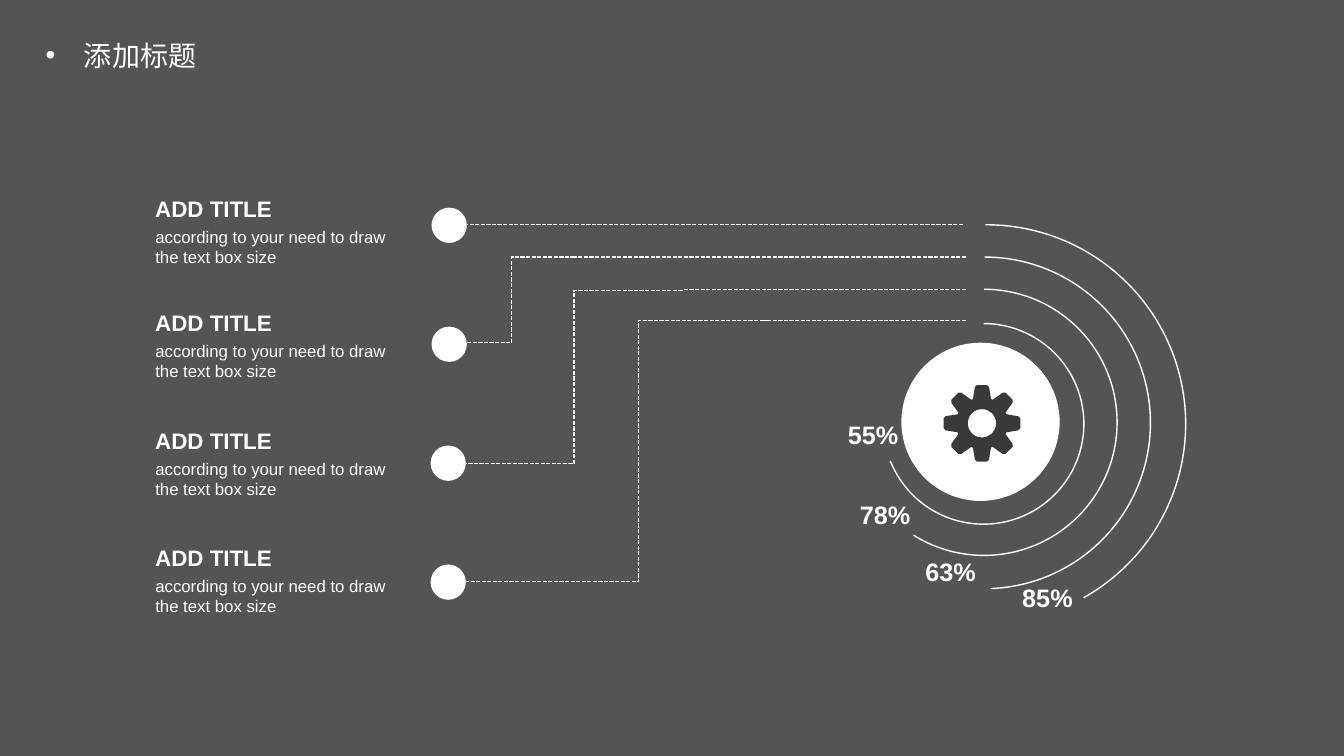
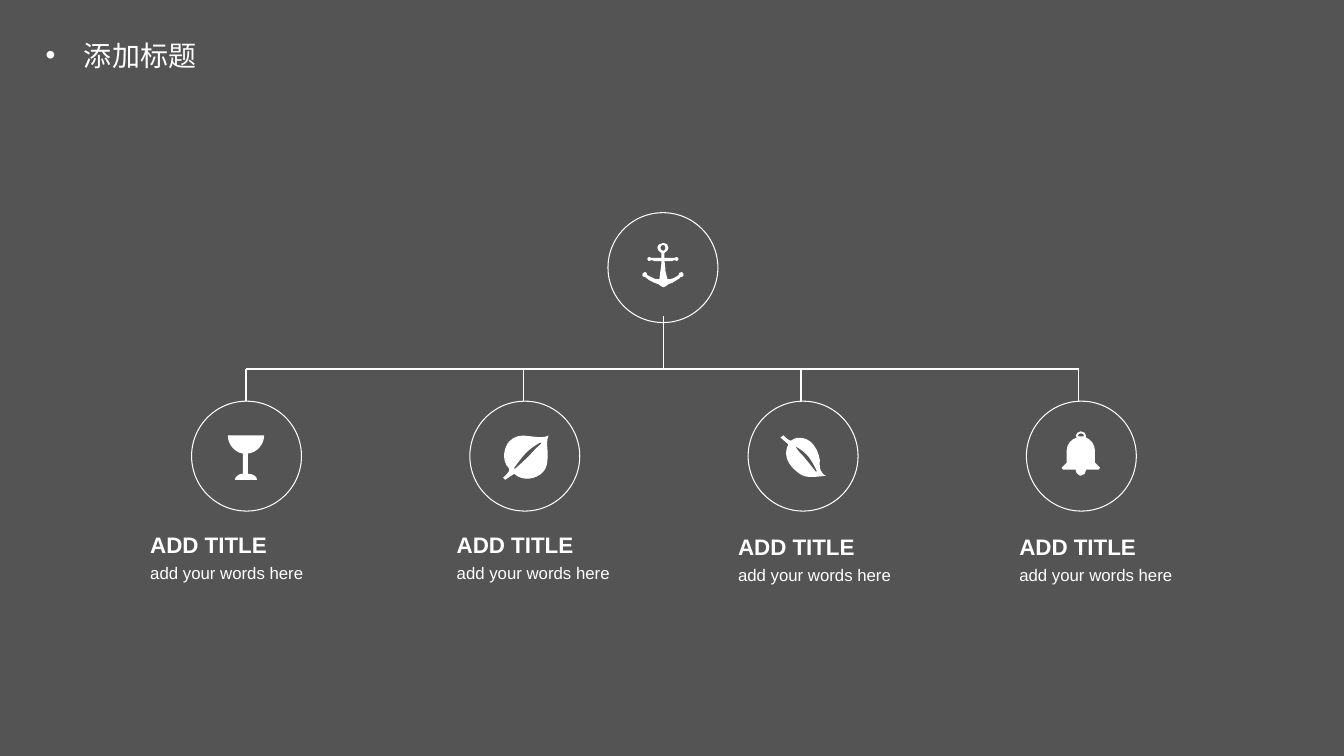
from math import cos, sin, radians
from lxml.etree import SubElement as Sub
from pptx import Presentation
from pptx.dml.color import RGBColor as Rgb
from pptx.enum.dml import MSO_LINE as Dash
from pptx.enum.shapes import MSO_CONNECTOR as Link, MSO_SHAPE as Kind
from pptx.enum.text import MSO_ANCHOR as Anchor, PP_ALIGN as Align
from pptx.oxml.ns import qn
from pptx.util import Inches, Pt

HUE = {"veil": "000000", "white": "FFFFFF", "gear": "3B3838"}
SANS = "Arial"
HAN = "Noto Sans CJK SC"

CUP = [[(36, 0), (0, 0), (0, 9, 7, 17, 15, 18), (15, 38),
        (11, 38, 7, 41, 7, 44), (29, 44), (29, 41, 25, 38, 20, 38),
        (20, 18), (29, 17, 36, 9, 36, 0)]]
LEAF = [[(48, 1), (48, 1, 45, 4, 31, 2), (19, 0, 14, 2, 9, 7),
         (5, 11, 0, 25, 9, 34), (11, 36, 3, 43, 3, 43), (5, 45), (14, 39),
         (14, 39, 19, 44, 26, 44), (35, 44, 47, 39, 47, 25),
         (48, 15, 45, 9, 48, 1)],
        [(41, 9), (41, 9, 36, 13, 29, 21), (23, 27, 15, 34, 15, 34),
         (14, 34), (14, 33), (14, 33, 21, 23, 26, 18),
         (32, 12, 40, 8, 40, 8)]]
FROND = [[(41, 29), (42, 23, 39, 15, 36, 11), (31, 2, 18, 0, 13, 5),
          (12, 7, 5, 0, 5, 0), (2, 2), (10, 9), (10, 9, 0, 23, 21, 38),
          (28, 43, 37, 41, 47, 40), (47, 40, 41, 38, 41, 29)],
         [(38, 36), (37, 36), (37, 36, 31, 28, 25, 21),
          (18, 14, 17, 11, 17, 11), (17, 11, 22, 13, 28, 19),
          (33, 24, 38, 35, 38, 35)]]
BELL = [[(33, 31), (33, 19), (33, 13, 29, 8, 24, 6), (24, 4),
         (24, 2, 22, 0, 19, 0), (17, 0, 14, 2, 14, 4), (15, 6),
         (9, 8, 5, 13, 5, 19), (5, 31), (0, 36), (0, 37, 1, 38, 2, 38),
         (14, 38), (14, 39), (14, 41, 17, 44, 19, 44),
         (22, 44, 24, 41, 24, 39), (24, 38), (36, 38),
         (37, 38, 38, 37, 38, 36)],
        [(16, 4), (16, 3, 18, 2, 19, 2), (21, 2, 22, 3, 22, 4),
         (22, 5), (17, 5)]]
ANCHOR = [[(39, 29), (37, 29, 36, 30, 36, 32), (35, 33, 33, 34, 31, 35),
           (29, 36, 27, 36, 25, 36), (23, 28), (23, 28, 23, 23, 22, 18),
           (30, 18), (32, 17), (33, 18, 33, 18, 34, 18),
           (35, 18, 36, 17, 36, 16), (36, 15, 35, 14, 34, 14),
           (33, 14, 33, 14, 32, 15), (22, 15), (22, 10),
           (24, 9, 26, 7, 26, 5), (26, 2, 24, 0, 21, 0),
           (18, 0, 15, 2, 15, 5), (15, 7, 17, 9, 19, 10), (19, 15), (9, 15),
           (8, 14, 8, 14, 7, 14), (6, 14, 5, 15, 5, 16),
           (5, 17, 6, 18, 7, 18), (8, 18, 8, 18, 9, 17), (12, 18), (19, 18),
           (19, 23, 18, 28, 18, 28), (17, 36), (14, 36, 11, 36, 9, 34),
           (8, 33, 6, 33, 5, 32), (5, 30, 4, 29, 3, 29),
           (1, 29, 0, 30, 0, 32), (0, 33, 1, 34, 3, 34),
           (4, 35, 6, 36, 7, 37), (10, 39, 13, 40, 16, 41),
           (16, 41, 20, 44, 21, 44), (22, 44, 25, 42, 26, 41),
           (29, 40, 32, 39, 34, 37), (36, 36, 37, 35, 38, 34),
           (40, 34, 41, 33, 41, 32), (41, 30, 40, 29, 39, 29)],
          [(18, 5), (18, 3, 19, 2, 21, 2), (22, 2, 23, 3, 23, 5),
           (23, 6, 22, 8, 21, 8), (19, 8, 18, 6, 18, 5)]]


def tint(name):
    return Rgb.from_string(HUE[name])


def cog():
    tooth = [(24, -9), (36, -7), (38, -5), (38, 5), (36, 7), (24, 9)]
    rim = []
    for i in range(8):
        c, s = cos(radians(45 * i)), sin(radians(45 * i))
        rim += [(x * c - y * s, x * s + y * c) for x, y in tooth]
    hole = [(0, 14), (-8, 14, -14, 8, -14, 0), (-14, -8, -8, -14, 0, -14),
            (8, -14, 14, -8, 14, 0), (14, 8, 8, 14, 0, 14)]
    return [rim, hole]


def add_icon(slide, rings, x, y, hue="white"):
    def spot(a, b):
        return Inches(x + a / 100), Inches(y + b / 100)

    pen = None
    for steps in rings:
        dots = [spot(*step[-2:]) for step in steps]
        if pen is None:
            pen = slide.shapes.build_freeform(*dots[0])
        else:
            pen.move_to(*dots[0])
        pen.add_line_segments(dots[1:], close=True)
    icon = pen.convert_to_shape()
    lines = list(icon._element.iter(qn("a:lnTo")))
    steps = [step for ring in rings for step in ring[1:]]
    for line, step in zip(lines, steps):
        if len(step) == 6:
            bend(line, [spot(*step[k:k + 2]) for k in (0, 2)], icon)
    paint(icon, hue)


def bend(line, grips, icon):
    curve = line.makeelement(qn("a:cubicBezTo"))
    for a, b in grips:
        Sub(curve, qn("a:pt"), x=str(a - icon.left), y=str(b - icon.top))
    curve.append(line[0])
    line.getparent().replace(line, curve)


def paint(shape, fill=None, width=0):
    shape.shadow.inherit = False
    if fill:
        shape.fill.solid()
        shape.fill.fore_color.rgb = tint(fill)
    else:
        shape.fill.background()
    if width:
        shape.line.color.rgb = tint("white")
        shape.line.width = Pt(width)
    else:
        shape.line.fill.background()


def add_round(slide, x, y, size, fill=None, width=0, kind=Kind.OVAL):
    shape = slide.shapes.add_shape(kind, *map(Inches, (x, y, size, size)))
    paint(shape, fill, width)
    return shape


def add_arc(slide, x, y, size, start, end):
    arc = add_round(slide, x, y, size, width=1, kind=Kind.ARC)
    arc.adjustments[0] = start * 0.6
    arc.adjustments[1] = end * 0.6


def add_line(slide, x1, y1, x2, y2, turn=None, dash=False):
    kind = Link.ELBOW if turn else Link.STRAIGHT
    line = slide.shapes.add_connector(kind, *map(Inches, (x1, y1, x2, y2)))
    line.line.color.rgb = tint("white")
    line.line.width = Pt(1)
    if dash:
        line.line.dash_style = Dash.SQUARE_DOT
    props = line._element.spPr
    Sub(props, qn("a:effectLst"))
    if turn:
        guides = props.find(qn("a:prstGeom")).get_or_add_avLst()
        Sub(guides, qn("a:gd"), name="adj1", fmla=f"val {round(turn * 100000)}")


def add_run(para, text, size, bold=False, face=SANS):
    run = para.add_run()
    run.text = text
    run.font.size = Pt(size)
    run.font.bold = bold
    run.font.name = face
    run.font.color.rgb = tint("white")
    return run


def add_text(slide, x, y, w, h, text, size, bold=False, wrap=True):
    frame = slide.shapes.add_textbox(*map(Inches, (x, y, w, h))).text_frame
    frame.word_wrap = wrap
    if wrap:
        frame.margin_left = frame.margin_right = 0
        frame.margin_top = frame.margin_bottom = 0
    add_run(frame.paragraphs[0], text, size, bold)


def add_label(slide, x, y, text, h):
    add_text(slide, x, y, 2.14, 0.27, "ADD TITLE", 16, True)
    add_text(slide, x, y + 0.31, 2.55, h, text, 12)


def add_slide(deck, text):
    slide = deck.slides.add_slide(deck.slide_layouts[5])
    title = slide.shapes.title
    title.left, title.top, title.width, title.height = map(Inches, (0.31, 0.33, 1.78, 0.44))
    frame = title.text_frame
    frame.vertical_anchor = Anchor.TOP
    frame.word_wrap = True
    para = frame.paragraphs[0]
    para.alignment = Align.CENTER
    props = para._p.get_or_add_pPr()
    props.set("marL", str(Inches(0.38)))
    props.set("indent", str(-Inches(0.38)))
    Sub(props, qn("a:buFont"), typeface=SANS)
    Sub(props, qn("a:buChar"), char="•")
    run = add_run(para, text, 20, face=HAN)
    Sub(run.font._element, qn("a:ea"), typeface=HAN)
    return slide


def add_veil(deck, slide):
    veil = slide.shapes.add_shape(Kind.RECTANGLE, 0, 0, Inches(13.36), Inches(7.52))
    paint(veil, "veil")
    node = veil._element
    Sub(next(node.spPr.iter(qn("a:srgbClr"))), qn("a:alpha"), val="67000")
    node.nvSpPr.cNvPr.set("id", "20")
    deck.slide_master.shapes._spTree.insert(2, node)


def draw_dial(slide):
    rows = [(1.94, 4.28, 9.55, 2.23, 4.63, None),
            (3.07, 4.28, 9.58, 2.55, 5.68, (5.7, 2.55, 4.45, 3.4, 0.5)),
            (4.24, 4.27, 9.58, 2.87, 6.77, (6.77, 2.88, 4.62, 4.6, 0.5)),
            (5.4, 4.27, 9.58, 3.18, 7.57, (7.63, 3.18, 4.62, 5.77, 0.43))]
    for i, (top, x, start, y, end, elbow) in enumerate(rows):
        add_line(slide, start, y, end, y, dash=True)
        if elbow:
            add_line(slide, *elbow, dash=True)
        add_round(slide, x, 2.06 + 1.18 * i, 0.35, "white")
    for arc in [(7.81, 2.23, 3.95, 269.64, 60.83), (8.12, 2.55, 3.29, 270, 87.9),
                (8.44, 2.87, 2.64, 270, 121.94), (8.76, 3.21, 1.99, 270, 158.33)]:
        add_arc(slide, *arc)
    for x, y, text in [(10.04, 5.73, "85%"), (9.08, 5.47, "63%"),
                       (8.43, 4.9, "78%"), (8.31, 4.11, "55%")]:
        add_text(slide, x, y, 0.71, 0.4, text, 18, True, False)
    add_round(slide, 8.94, 3.4, 1.57, "white")
    add_icon(slide, cog(), 9.74, 4.2, "gear")
    for row in rows:
        add_label(slide, 1.54, row[0], "according to your need to draw the text box size", 0.4)


def draw_tree(slide):
    for i in range(4):
        stem = 2.44 + 2.753 * i
        add_line(slide, stem, 3.98, stem, 3.66)
    add_line(slide, 2.44, 3.66, 10.7, 3.66)
    add_line(slide, 6.58, 3.66, 6.58, 3.14)
    add_round(slide, 6.03, 2.11, 1.09, width=0.75)
    for i in range(4):
        add_round(slide, 1.9 + 2.76 * i, 3.98, 1.09, width=0.75)
    for icon, x, y in [(CUP, 2.26, 4.32), (BELL, 10.53, 4.28), (LEAF, 4.96, 4.31),
                       (FROND, 7.72, 4.32), (ANCHOR, 6.37, 2.41)]:
        add_icon(slide, icon, x, y)
    for x, y in [(1.49, 5.27), (4.53, 5.27), (7.32, 5.29), (10.11, 5.29)]:
        add_label(slide, x, y, "add your words here", 0.2)


def main():
    deck = Presentation()
    deck.slide_width, deck.slide_height = Inches(13.33), Inches(7.5)
    dial, tree = [add_slide(deck, "添加标题") for _ in range(2)]
    add_veil(deck, dial)
    draw_dial(dial)
    draw_tree(tree)
    deck.save("out.pptx")


if __name__ == "__main__":
    main()
